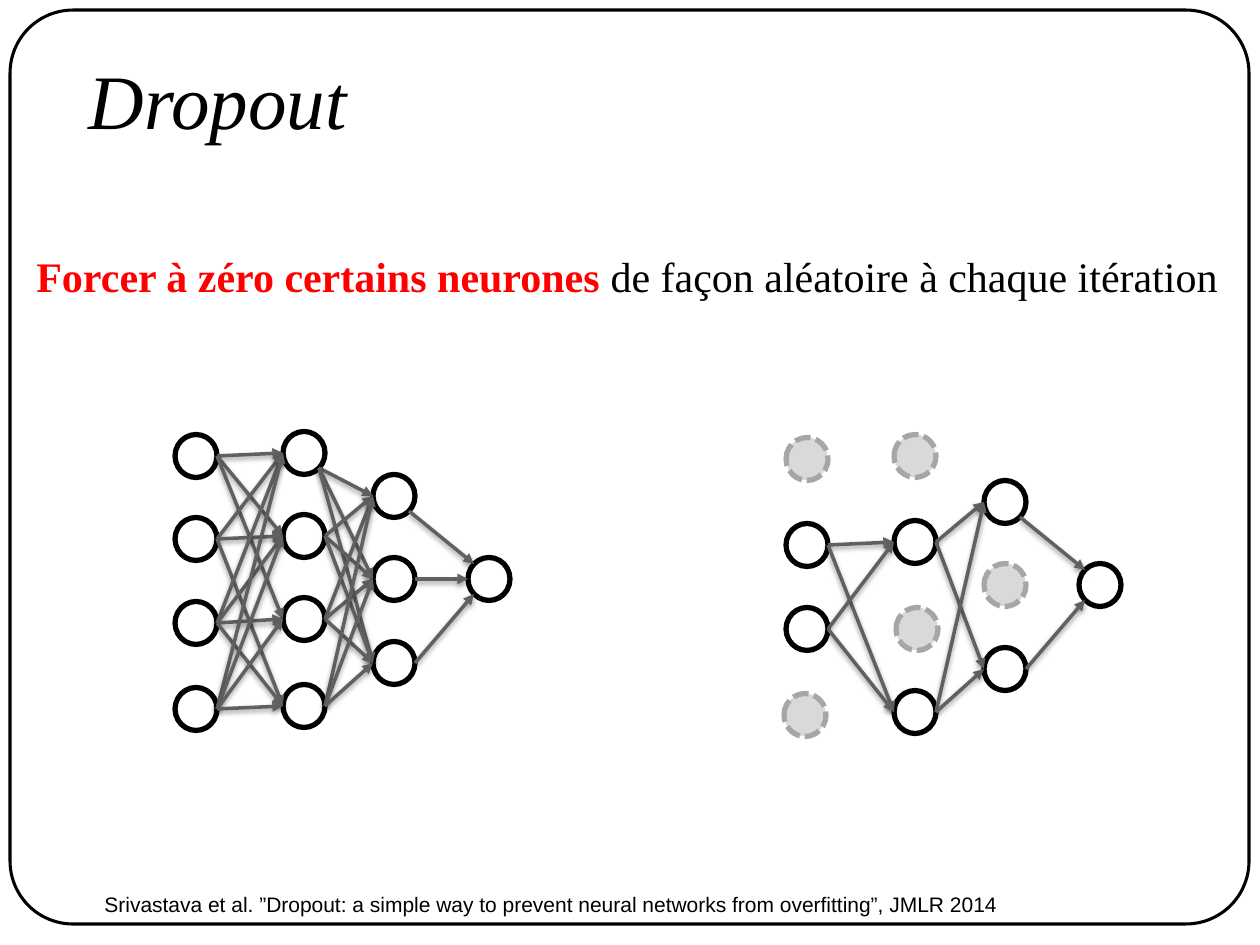
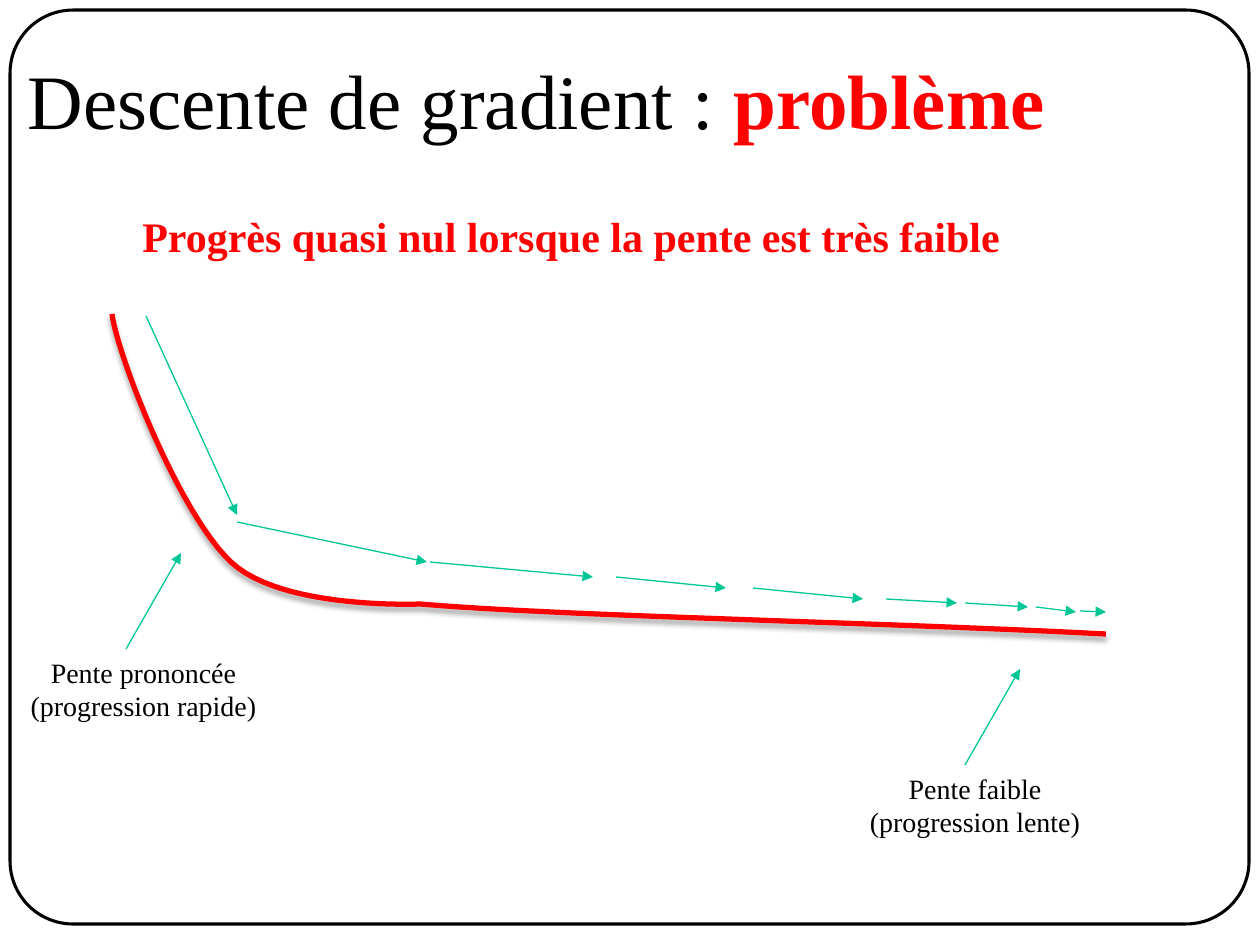
from dataclasses import dataclass
from itertools import product

from lxml import etree
from pptx import Presentation
from pptx.dml.color import RGBColor
from pptx.enum.dml import MSO_LINE_DASH_STYLE as Dash
from pptx.enum.shapes import MSO_CONNECTOR as Connector, MSO_SHAPE as Preset
from pptx.enum.text import MSO_ANCHOR as Anchor, MSO_AUTO_SIZE as AutoSize, PP_ALIGN as Align
from pptx.oxml.ns import qn
from pptx.util import Pt

EMU_PER_PX = 914400 / 126


@dataclass(frozen=True)
class Theme:
    """Colours, fonts and sizes shared by the slides."""

    ink: str = "000000"
    paper: str = "FFFFFF"
    accent: str = "FF0000"
    link: str = "606060"
    step: str = "00C795"
    dropped_fill: str = "D9D9D9"
    dropped_line: str = "A6A6A6"
    serif: str = "Times New Roman"
    sans: str = "Arial"
    title_size: int = 44
    statement_size: int = 24
    label_size: int = 16
    source_size: int = 12
    frame_width: float = 1.75
    bold_width: float = 3
    link_width: float = 2
    step_width: float = 0.75


THEME = Theme()

NEURON_WIDTH, NEURON_HEIGHT = 42, 43
LAYERS = (
    (22, (25, 108, 192, 278)),
    (130, (22, 105, 188, 275)),
    (220, (65, 148, 232)),
    (315, (148,)),
)
UNLINKED = {(0, 0, 3), (0, 1, 2)}
DROPPED_NUDGES = {(0, 0): (0, -3), (0, 3): (-2, 0), (1, 0): (0, -3), (1, 2): (2, 4), (2, 1): (0, 0)}

LOSS_CURVE = (
    ((0, 0), (6, 43), (67, 199), (119, 248)),
    ((119, 248), (170, 296), (308, 290), (308, 290)),
    ((308, 290), (446, 302), (762, 308), (994, 320)),
)
DESCENT_STEPS = (
    (34, 2, 125, 201), (125, 208, 315, 248), (318, 248, 481, 263),
    (504, 263, 614, 274), (641, 274, 751, 285), (774, 285, 845, 289),
    (853, 289, 916, 293), (924, 293, 964, 298), (968, 297, 994, 298),
)


def px(*lengths):
    """Turn px lengths into a list of EMU."""
    return [round(length * EMU_PER_PX) for length in lengths]


def color(code):
    """Return the colour object for a hex code."""
    return RGBColor.from_string(code)


def write(frame, paragraphs, *, size, font=THEME.serif, ink=THEME.ink, bold=False,
          italic=False, align=Align.LEFT):
    """Fill a text frame with paragraphs of (text, overrides) runs in one format."""
    for index, runs in enumerate(paragraphs):
        paragraph = frame.add_paragraph() if index else frame.paragraphs[0]
        paragraph.alignment = align
        for text, overrides in runs:
            look = {"ink": ink, "bold": bold, **overrides}
            run = paragraph.add_run()
            run.text = text
            run.font.name, run.font.size = font, Pt(size)
            run.font.bold, run.font.italic = look["bold"], italic
            run.font.color.rgb = color(look["ink"])


def set_title(slide, box, runs, **style):
    """Place the title placeholder and write its runs."""
    title = slide.shapes.title
    title.left, title.top, title.width, title.height = px(*box)
    title.text_frame.auto_size = AutoSize.NONE
    title.text_frame.vertical_anchor = Anchor.MIDDLE
    write(title.text_frame, [runs], size=THEME.title_size, **style)


def add_text(slide, box, paragraphs, wrap=False, **style):
    """Add a text box that grows with its text."""
    frame = slide.shapes.add_textbox(*px(*box)).text_frame
    frame.word_wrap = wrap
    frame.auto_size = AutoSize.SHAPE_TO_FIT_TEXT
    write(frame, paragraphs, **style)


def set_line(shape, ink, width):
    """Set a shape's line colour and width."""
    shape.line.color.rgb = color(ink)
    shape.line.width = Pt(width)


def set_effects(shape, opacity=0, distance=1.6):
    """Replace the theme effects by a downward shadow, or by none."""
    effects = etree.SubElement(shape.element.spPr, qn("a:effectLst"))
    if opacity:
        shadow = etree.SubElement(
            effects, qn("a:outerShdw"), blurRad=str(Pt(3.1)), dist=str(Pt(distance)),
            dir="5400000", rotWithShape="0")
        black = etree.SubElement(shadow, qn("a:srgbClr"), val=THEME.ink)
        etree.SubElement(black, qn("a:alpha"), val=str(opacity * 1000))


def add_arrow(shapes, start, end, ink, width, opacity=0):
    """Add a straight arrow between two px points."""
    arrow = shapes.add_connector(Connector.STRAIGHT, *px(*start, *end))
    set_line(arrow, ink, width)
    etree.SubElement(arrow.line._get_or_add_ln(), qn("a:tailEnd"), type="triangle")
    set_effects(arrow, opacity)


def add_preset(shapes, preset, box, line, width, fill=None):
    """Add a flat preset shape."""
    shape = shapes.add_shape(preset, *px(*box))
    shape.shadow.inherit = False
    set_line(shape, line, width)
    if fill:
        shape.fill.solid()
        shape.fill.fore_color.rgb = color(fill)
    else:
        shape.fill.background()
    return shape


def add_master_frame(presentation, slide):
    """Draw the rounded frame and put it on the slide master."""
    frame = add_preset(slide.shapes, Preset.ROUNDED_RECTANGLE, (10, 10, 1239, 914),
                       THEME.ink, THEME.frame_width)
    frame.adjustments[0] = 0.069
    frame.element.nvSpPr.cNvPr.id = 100
    presentation.slide_master.element.cSld.spTree.insert(2, frame.element)


def add_neuron(shapes, center, dropped):
    """Draw one neuron, greyed and dashed when it is dropped."""
    x, y = center
    box = (x - NEURON_WIDTH / 2, y - NEURON_HEIGHT / 2, NEURON_WIDTH, NEURON_HEIGHT)
    line = THEME.dropped_line if dropped else THEME.ink
    fill = THEME.dropped_fill if dropped else THEME.paper
    neuron = add_preset(shapes, Preset.OVAL, box, line, THEME.bold_width, fill)
    if dropped:
        neuron.line.dash_style = Dash.SQUARE_DOT


def link_ends(layer, source, start, end):
    """Find where a link leaves one neuron and meets the next."""
    radius, diagonal = NEURON_WIDTH / 2, 15
    (x1, y1), (x2, y2) = start, end
    leaves_below = layer > 0 and source == 0
    begin = (x1 + diagonal, y1 + diagonal) if leaves_below else (x1 + radius, y1)
    if layer == len(LAYERS) - 2 and y1 != y2:
        return begin, (x2 - diagonal, y2 + (diagonal if y1 > y2 else -diagonal))
    return begin, (x2 - radius, y2)


def add_network(slide, left, top, dropped):
    """Draw the neurons and the links between those that are kept."""
    shapes = slide.shapes.add_group_shape().shapes
    centers = {}
    for layer, (x, rows) in enumerate(LAYERS):
        for row, y in enumerate(rows):
            key = layer, row
            dx, dy = dropped.get(key, (0, 0))
            centers[key] = left + x + dx, top + y + dy
            add_neuron(shapes, centers[key], key in dropped)
    kept = [key for key in centers if key not in dropped]
    for (layer, source), (next_layer, target) in product(kept, kept):
        if next_layer == layer + 1 and (layer, source, target) not in UNLINKED:
            ends = link_ends(layer, source, centers[layer, source], centers[next_layer, target])
            add_arrow(shapes, *ends, THEME.link, THEME.link_width, opacity=38)


def bezier_point(controls, t):
    """Return the point at t on a cubic curve."""
    weights = ((1 - t) ** 3, 3 * t * (1 - t) ** 2, 3 * t * t * (1 - t), t ** 3)
    return tuple(sum(w * p[axis] for w, p in zip(weights, controls)) for axis in (0, 1))


def add_descent(slide, left, top, samples=24):
    """Draw the loss curve and the shrinking steps above it."""
    points = [px(*bezier_point(controls, index / samples))
              for controls in LOSS_CURVE for index in range(1, samples + 1)]
    builder = slide.shapes.build_freeform(0, 0)
    builder.add_line_segments(points, close=False)
    curve = builder.convert_to_shape(*px(left, top))
    curve.fill.background()
    set_line(curve, THEME.accent, THEME.bold_width)
    set_effects(curve, opacity=35, distance=1.8)
    for x1, y1, x2, y2 in DESCENT_STEPS:
        add_arrow(slide.shapes, (left + x1, top + y1), (left + x2, top + y2),
                  THEME.step, THEME.step_width)


def add_slope_label(slide, box, lines):
    """Write a two-line label with an arrow up to the curve."""
    left, top = box[:2]
    add_text(slide, box, [[(line, {})] for line in lines],
             size=THEME.label_size, align=Align.CENTER)
    add_arrow(slide.shapes, (left + 108, top), (left + 163, top - 96),
              THEME.step, THEME.step_width)


def build_dropout(slide):
    """Build the slide that compares the full and the thinned network."""
    set_title(slide, (76, 20, 1071, 158), [("Dropout", {})], italic=True)
    add_network(slide, 174, 431, {})
    add_network(slide, 785, 437, DROPPED_NUDGES)
    add_text(slide, (24, 244, 1208, 63), [[
        ("Forcer à zéro certains neurones ", {"ink": THEME.accent, "bold": True}),
        ("de façon aléatoire à chaque itération", {}),
    ]], size=THEME.statement_size)
    add_text(slide, (92, 885, 1037, 38), [[(
        "Srivastava et al. ”Dropout: a simple way to prevent neural networks "
        "from overfitting”, JMLR 2014", {})]],
        wrap=True, size=THEME.source_size, font=THEME.sans)


def build_gradient_problem(slide):
    """Build the slide on slow gradient descent."""
    set_title(slide, (15, 20, 1216, 158), [
        ("Descente de gradient : ", {}),
        ("problème", {"ink": THEME.accent, "bold": True}),
    ])
    add_text(slide, (130, 204, 883, 63),
             [[("Progrès quasi nul lorsque la pente est très faible", {})]],
             size=THEME.statement_size, ink=THEME.accent, bold=True)
    add_descent(slide, 112, 314)
    add_slope_label(slide, (18, 649, 251, 79), ("Pente prononcée", "(progression rapide)"))
    add_slope_label(slide, (857, 765, 236, 79), ("Pente faible", "(progression lente)"))


def main():
    """Build and save the presentation."""
    presentation = Presentation()
    presentation.slide_width, presentation.slide_height = px(1260, 945)
    title_only = presentation.slide_layouts.get_by_name("Title Only")
    slides = [presentation.slides.add_slide(title_only) for _ in range(2)]
    add_master_frame(presentation, slides[0])
    build_dropout(slides[0])
    build_gradient_problem(slides[1])
    presentation.save("out.pptx")


if __name__ == "__main__":
    main()
